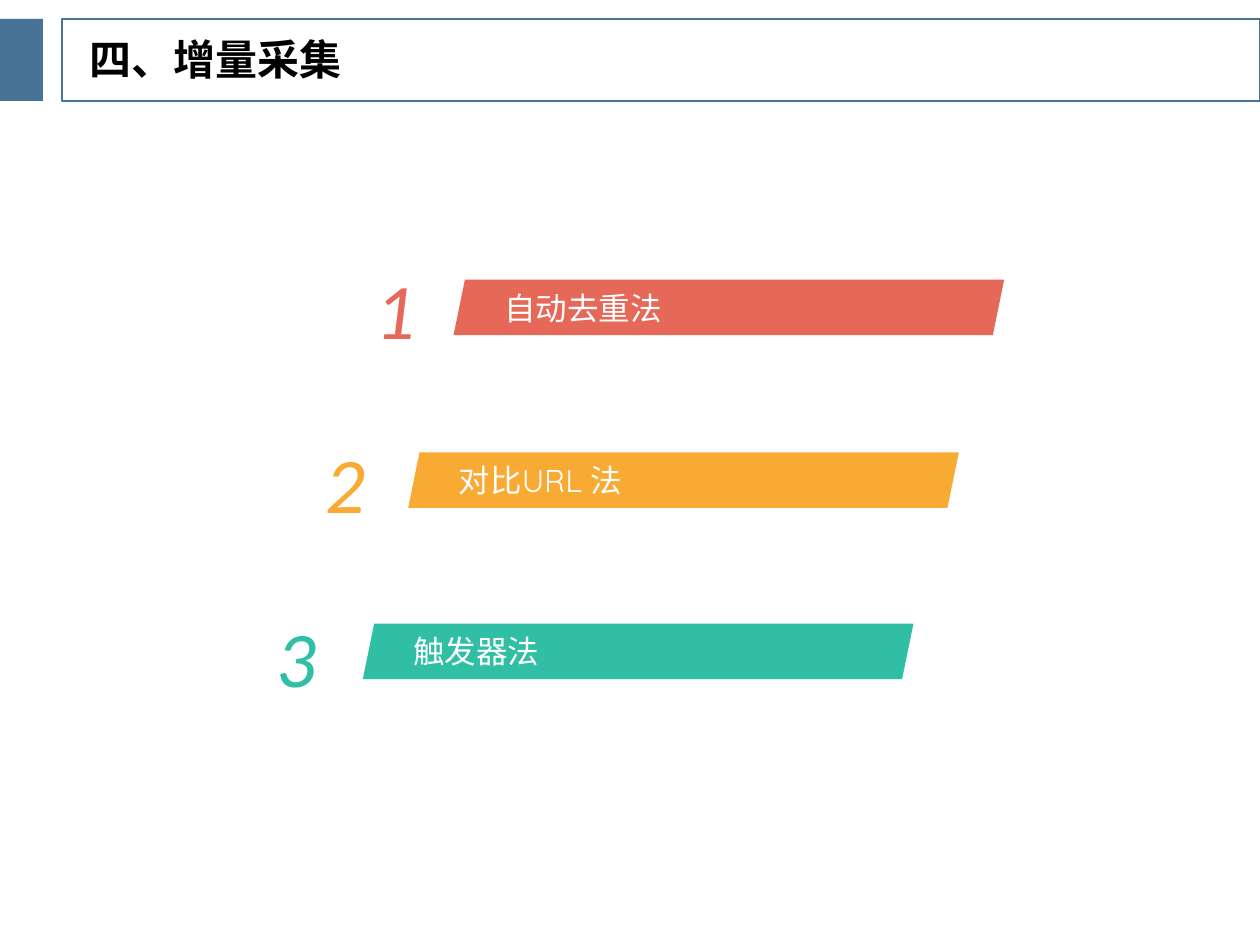
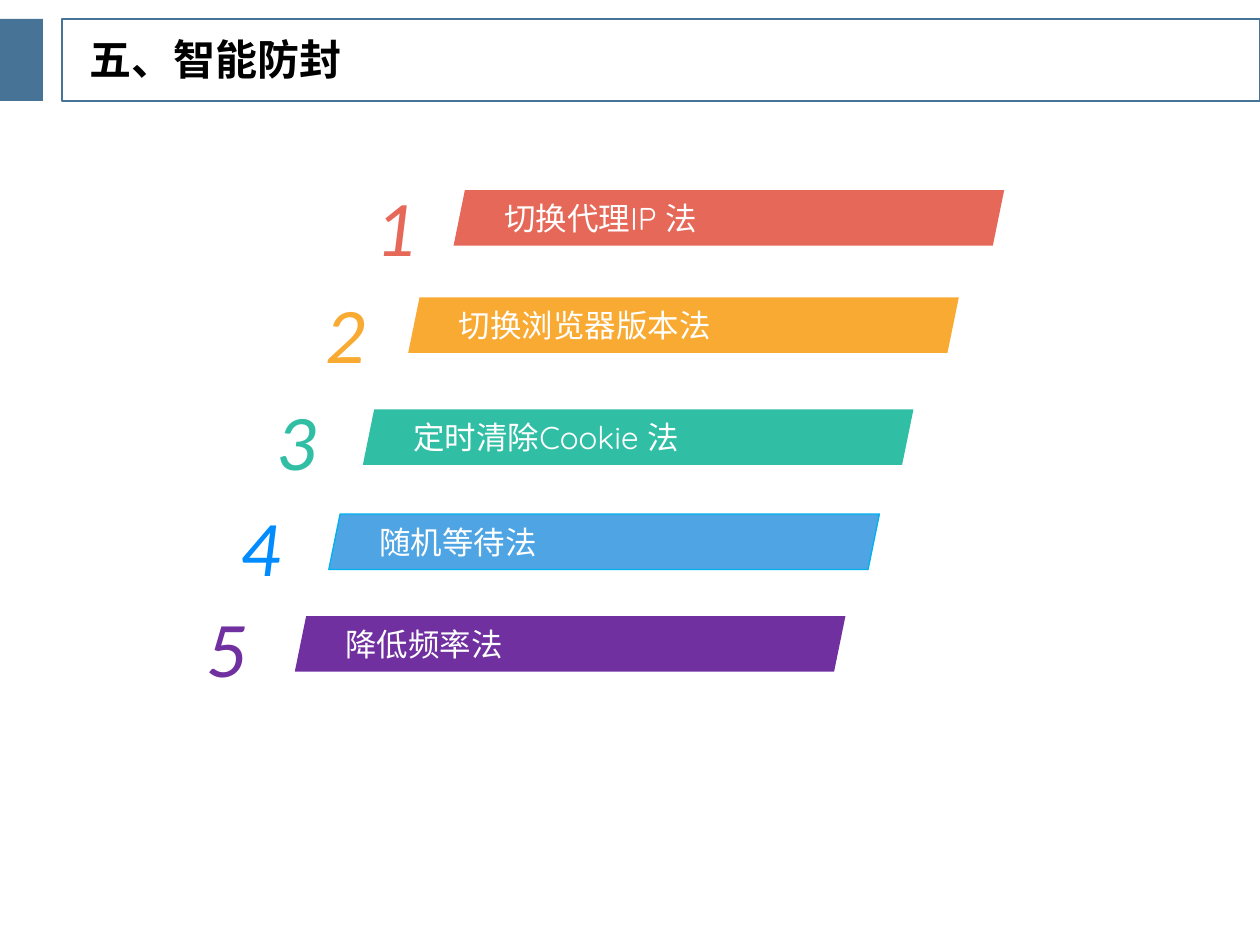
from typing import NamedTuple, Optional

from pptx import Presentation
from pptx import util as u
from pptx.dml.color import RGBColor
from pptx.enum import shapes, text

STEEL = RGBColor(0x46, 0x73, 0x96)
BLACK = RGBColor(0x00, 0x00, 0x00)
WHITE = RGBColor(0xFF, 0xFF, 0xFF)
CORAL = RGBColor(0xE6, 0x68, 0x58)
AMBER = RGBColor(0xF9, 0xAA, 0x33)
TEAL = RGBColor(0x30, 0xBE, 0xA5)
SKY = RGBColor(0x4F, 0xA5, 0xE3)
CYAN = RGBColor(0x00, 0xB0, 0xF0)
AZURE = RGBColor(0x00, 0x8C, 0xFF)
PURPLE = RGBColor(0x70, 0x30, 0xA0)

BODY_FONT = "Quicksand"
NUMBER_FONT = "Calibri"
TITLE_ONLY = 5
BAND_TOP, BAND_HEIGHT = 0.15, 0.65
BAR_WIDTH, BAR_HEIGHT, BAR_SLANT = 4.37, 0.44, 0.204
NUMBER_WIDTH, NUMBER_HEIGHT = 1, 1.31


class Rank(NamedTuple):
    bar_left: float
    number_left: float
    bar_color: RGBColor
    number_color: RGBColor
    outline: Optional[RGBColor] = None


class Method(NamedTuple):
    label: str
    bar_top: float
    number_top: float


class Topic(NamedTuple):
    title: str
    methods: list[Method]


RANKS = [
    Rank(3.6, 2.64, CORAL, CORAL),
    Rank(3.24, 2.24, AMBER, AMBER),
    Rank(2.88, 1.85, TEAL, TEAL),
    Rank(2.61, 1.57, SKY, AZURE, CYAN),
    Rank(2.34, 1.3, PURPLE, PURPLE),
]

TOPICS = [
    Topic("四、增量采集", [
        Method("自动去重法", 2.22, 1.79),
        Method("对比URL 法", 3.59, 3.17),
        Method("触发器法", 4.95, 4.55),
    ]),
    Topic("五、智能防封", [
        Method("切换代理IP 法", 1.51, 1.13),
        Method("切换浏览器版本法", 2.36, 1.98),
        Method("定时清除Cookie 法", 3.25, 2.83),
        Method("随机等待法", 4.08, 3.67),
        Method("降低频率法", 4.89, 4.47),
    ]),
]


def inches(*lengths: float) -> list[u.Length]:
    return [u.Inches(length) for length in lengths]


def add_panel(page, kind, at, fill=None, outline=None, weight=1.0):
    panel = page.shapes.add_shape(kind, *inches(*at))
    panel.shadow.inherit = False
    if fill is None:
        panel.fill.background()
    else:
        panel.fill.solid()
        panel.fill.fore_color.rgb = fill
    if outline is None:
        panel.line.fill.background()
    else:
        panel.line.color.rgb = outline
        panel.line.width = u.Pt(weight)
    return panel


def write(box, words: str, font: str, size: float, color: RGBColor, align,
          margins=(0, 0), bold=False, italic=False):
    frame = box.text_frame
    frame.word_wrap = True
    frame.auto_size = text.MSO_AUTO_SIZE.NONE
    frame.vertical_anchor = text.MSO_ANCHOR.MIDDLE
    frame.margin_left = frame.margin_right = u.Inches(margins[0])
    frame.margin_top = frame.margin_bottom = u.Inches(margins[1])
    para = frame.paragraphs[0]
    para.text = words
    para.alignment = align
    para.font.name = font
    para.font.size = u.Pt(size)
    para.font.color.rgb = color
    para.font.bold = bold
    para.font.italic = italic
    return para


def add_header(page, title: str) -> None:
    rectangle = shapes.MSO_SHAPE.RECTANGLE
    add_panel(page, rectangle, (0, BAND_TOP, 0.34, BAND_HEIGHT), fill=STEEL)
    add_panel(page, rectangle, (0.49, BAND_TOP, 9.51, BAND_HEIGHT), outline=STEEL)
    box = page.shapes.title
    box.left, box.top, box.width, box.height = inches(0.61, 0.24, 2.63, 0.51)
    para = write(box, title, BODY_FONT, 24, BLACK, text.PP_ALIGN.LEFT, (0.1, 0.05), bold=True)
    para.line_spacing = 0.9


def add_method(page, number: int, rank: Rank, method: Method) -> None:
    bar = add_panel(page, shapes.MSO_SHAPE.PARALLELOGRAM,
                    (rank.bar_left, method.bar_top, BAR_WIDTH, BAR_HEIGHT),
                    rank.bar_color, rank.outline, 0.75)
    bar.adjustments[0] = BAR_SLANT
    write(bar, method.label, BODY_FONT, 18, WHITE, text.PP_ALIGN.JUSTIFY)
    box = page.shapes.add_textbox(
        *inches(rank.number_left, method.number_top, NUMBER_WIDTH, NUMBER_HEIGHT))
    write(box, str(number), NUMBER_FONT, 45, rank.number_color,
          text.PP_ALIGN.CENTER, italic=True)


def main() -> None:
    deck = Presentation()
    deck.slide_width, deck.slide_height = inches(10, 7.5)
    for topic in TOPICS:
        page = deck.slides.add_slide(deck.slide_layouts[TITLE_ONLY])
        add_header(page, topic.title)
        for number, (rank, method) in enumerate(zip(RANKS, topic.methods), start=1):
            add_method(page, number, rank, method)
    deck.save("out.pptx")


if __name__ == "__main__":
    main()
